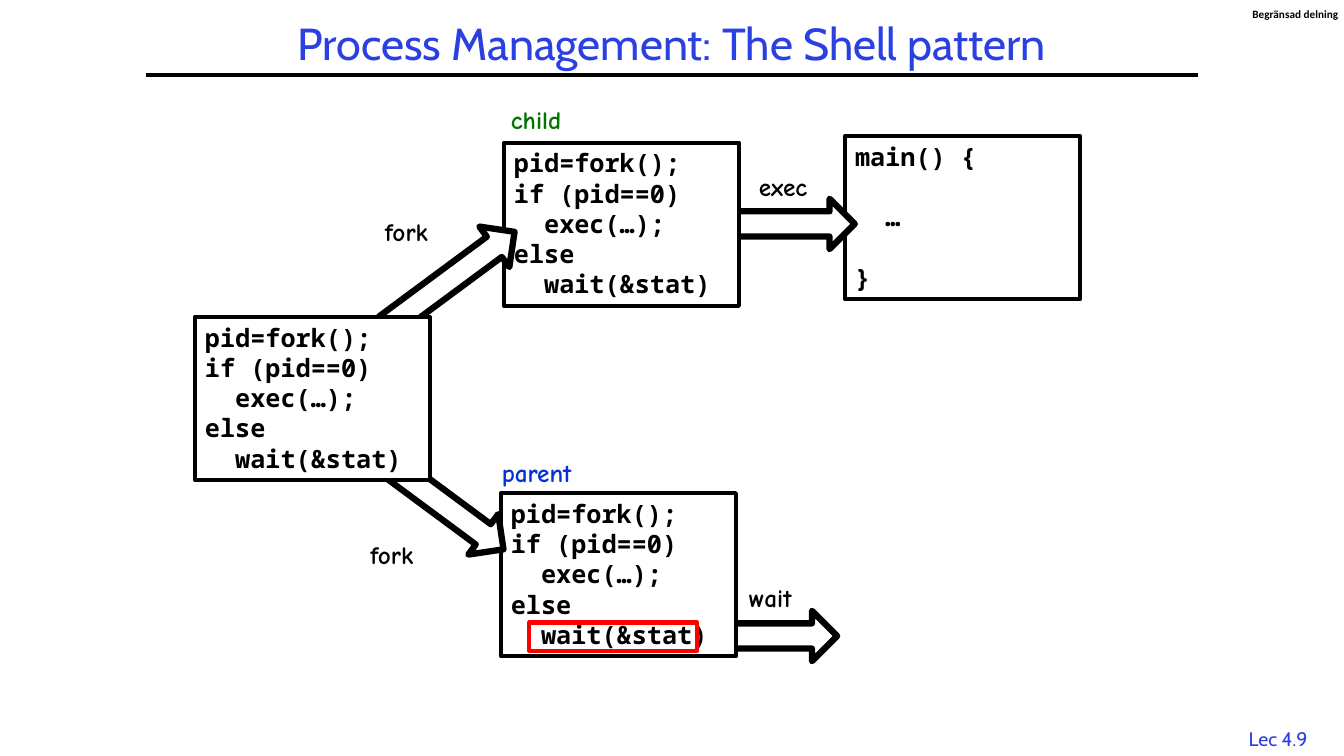
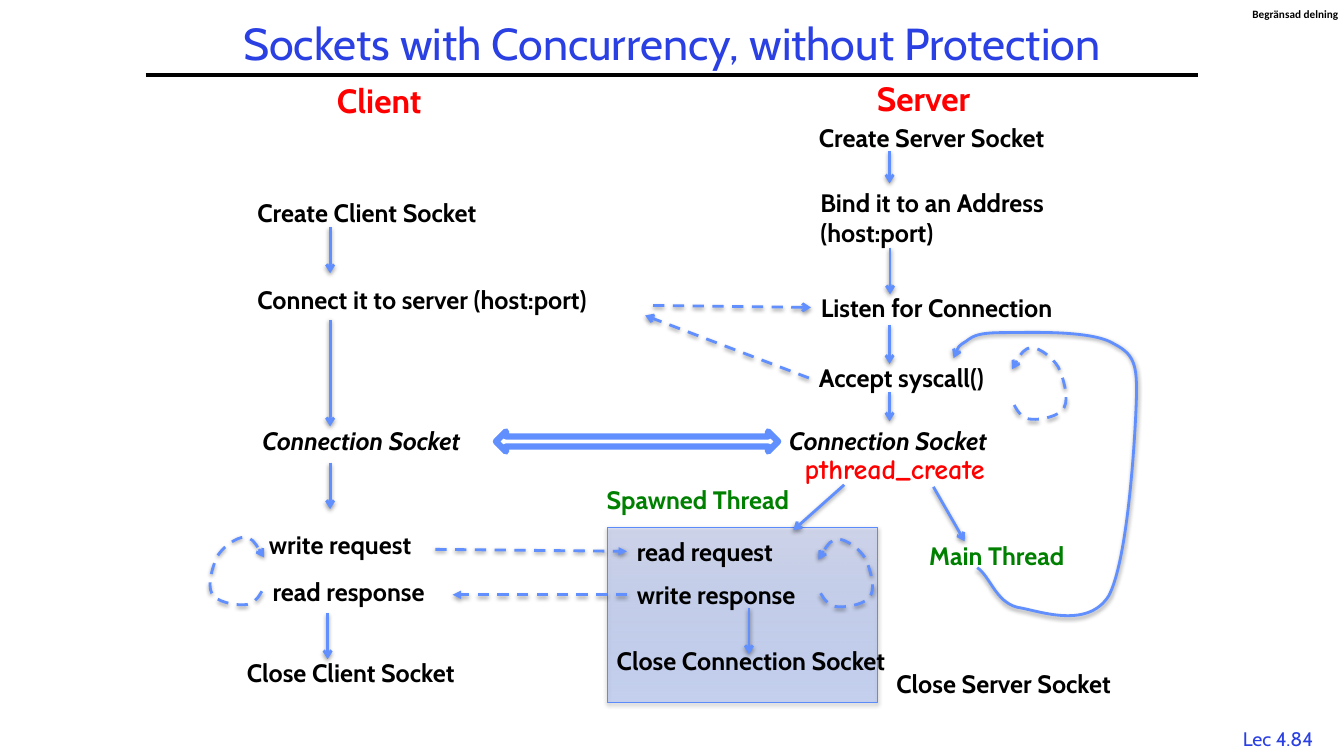
from dataclasses import dataclass

from pptx import Presentation
from pptx.dml.color import RGBColor
from pptx.enum.dml import MSO_LINE_DASH_STYLE as Dash
from pptx.enum.shapes import MSO_CONNECTOR as Link, MSO_SHAPE as Preset
from pptx.enum.text import MSO_ANCHOR as Anchor, MSO_AUTO_SIZE as Fit, PP_ALIGN as Align
from pptx.oxml.ns import qn
from pptx.util import Inches, Pt
from lxml.etree import SubElement

CELL = Inches(0.1)
BLACK, WHITE, RED, GREEN = "000000", "FFFFFF", "FF0000", "008000"
TITLE_BLUE, FLOW_BLUE = "2A40E2", "618FFD"
CHILD_GREEN, PARENT_BLUE = "007600", "0330D8"
HAND, SANS, MONO = "Comic Neue", "Cabin", "Noto Sans Mono"
LEFT_SIDE = 1
CODE_LINE = 21.6
FORK_CODE = ["pid=fork();", "if (pid==0)", "  exec(…);", "else", "  wait(&stat)"]
LOOP = [(.04, .8),
        (.11, .9), (.2, 1), (.37, 1),
        (.52, 1.01), (.89, .96), (.96, .83),
        (1.05, .7), (.94, .41), (.85, .27),
        (.74, .13), (.5, 0), (.37, 0),
        (.22, 0), (.11, .15), (0, .3)]
RETURN = [(.13, .83),
          (.2, .86), (.23, .95), (.35, .97),
          (.46, .98), (.73, 1.05), (.85, .93),
          (.95, .81), (.99, .42), (1, .27),
          (1.01, .12), (1, .08), (.88, .04),
          (.76, -.01), (.41, 0), (.28, 0),
          (.14, 0), (.11, .01), (.07, .03),
          (.02, .05), (.01, .07), (0, .09)]


@dataclass
class Box:
    left: float
    top: float
    width: float
    height: float

    def inside(self, column, row, width, height=4):
        return Box(self.left + column, self.top + row, width, height)

    def point(self, column, row):
        return int((self.left + column) * CELL), int((self.top + row) * CELL)

    def emu(self):
        return *self.point(0, 0), int(self.width * CELL), int(self.height * CELL)


PAGE = Box(0, 0, 133.33, 75)


def rgb(value):
    return RGBColor.from_string(value)


def apply(target, formats):
    for key, value in formats.items():
        setattr(target, key, value)


def write(frame, lines, size=18, font=SANS, color=BLACK, wrap=False, paragraph={}, gaps={}, **formats):
    apply(frame, {"word_wrap": wrap, "auto_size": Fit.SHAPE_TO_FIT_TEXT})
    for index, line in enumerate(lines):
        part = frame.paragraphs[0] if index == 0 else frame.add_paragraph()
        apply(part, {"alignment": Align.LEFT, **paragraph})
        if index in gaps:
            part.space_before = Pt(gaps[index])
        run = part.add_run()
        run.text = line
        apply(run.font, {"size": Pt(size), "name": font, "bold": True, **formats})
        run.font.color.rgb = rgb(color)


def label(slide, box, words, **formats):
    holder = slide.shapes.add_textbox(*box.emu())
    write(holder.text_frame, words.split("\n"), **formats)
    return holder


def block(slide, box, preset=Preset.RECTANGLE, fill=WHITE, color=BLACK, weight=3, turn=0):
    shape = slide.shapes.add_shape(preset, *box.emu())
    shape.shadow.inherit = False
    shape.rotation = turn
    if fill:
        shape.fill.solid()
        shape.fill.fore_color.rgb = rgb(fill)
    else:
        shape.fill.background()
    shape.line.color.rgb = rgb(color)
    shape.line.width = Pt(weight)
    return shape


def cast_shadow(shape, opacity=38, distance=1.6):
    properties = shape._element.spPr
    effects = properties.find(qn("a:effectLst"))
    if effects is None:
        effects = SubElement(properties, qn("a:effectLst"))
    outer = SubElement(effects, qn("a:outerShdw"), blurRad=str(Pt(3.1)), dist=str(Pt(distance)),
                       dir="5400000", algn="t", rotWithShape="0")
    tone = SubElement(outer, qn("a:srgbClr"), val=BLACK)
    SubElement(tone, qn("a:alpha"), val=str(opacity * 1000))


def style_flow(shape, dashed=False, tip="arrow"):
    shape.line.color.rgb = rgb(FLOW_BLUE)
    shape.line.width = Pt(2)
    if dashed:
        shape.line.dash_style = Dash.DASH
    SubElement(shape.line._get_or_add_ln(), qn("a:tailEnd"), type=tip)
    cast_shadow(shape)


def flow(slide, box, start, end, leaves=None, enters=None, **style):
    arrow = slide.shapes.add_connector(Link.STRAIGHT, *box.point(*start), *box.point(*end))
    if leaves is not None:
        arrow.begin_connect(leaves, LEFT_SIDE)
    if enters is not None:
        arrow.end_connect(enters, LEFT_SIDE)
    style_flow(arrow, **style)


def curve(slide, box, anchors, mirrored=False, dashed=False):
    spots = [box.point((1 - x if mirrored else x) * box.width, y * box.height) for x, y in anchors]
    builder = slide.shapes.build_freeform(*spots[0], scale=1.0)
    builder.add_line_segments(spots[1:], close=False)
    outline = builder.convert_to_shape()
    segments = list(outline._element.spPr.iter(qn("a:lnTo")))
    for first in range(0, len(segments), 3):
        bend = SubElement(segments[first].getparent(), qn("a:cubicBezTo"))
        for segment in segments[first:first + 3]:
            bend.append(segment[0])
            segment.getparent().remove(segment)
    outline.shadow.inherit = False
    outline.fill.background()
    style_flow(outline, dashed)


def page_frame(slide, box, title, number):
    label(slide, box.inside(121.95, 71.6, 9.7, 3.3), number, size=14, color=TITLE_BLUE,
          bold=False, paragraph={"alignment": Align.CENTER})
    rule = slide.shapes.add_connector(Link.STRAIGHT, *box.point(14.45, 7.47), *box.point(118.85, 7.47))
    rule.line.color.rgb = rgb(BLACK)
    rule.line.width = Pt(3)
    SubElement(rule._element.spPr, qn("a:effectLst"))
    notice = label(slide, box.inside(124.25, 0.7, 8.6, 1.3), "Begränsad delning",
                   size=8, font="Calibri", wrap=True)
    apply(notice.text_frame, dict.fromkeys(
        ("margin_left", "margin_top", "margin_right", "margin_bottom"), 0))
    heading = label(slide, box.inside(14.45, 1.7, 104.45, 5.8), title, size=32, color=TITLE_BLUE,
                    bold=False, wrap=True, paragraph={"alignment": Align.CENTER, "line_spacing": 0.9})
    apply(heading.text_frame, {"auto_size": Fit.NONE, "vertical_anchor": Anchor.MIDDLE})


def code_block(slide, box, lines, fill=WHITE, gaps={}):
    shape = block(slide, box, fill=fill)
    shape.text_frame.vertical_anchor = Anchor.TOP
    write(shape.text_frame, lines, font=MONO, wrap=True, gaps=gaps)


def shell_pattern(slide, box):
    def process(column, row):
        return box.inside(column, row, 23.3, 16.2)

    def big_arrow(column, row, width, turn=0):
        block(slide, box.inside(column, row, width, 5), Preset.RIGHT_ARROW, weight=4.5, turn=turn)

    big_arrow(71.35, 60.6, 11.7)
    code_block(slide, process(83.85, 13.5), ["main() {", "  …", "}"], None,
               gaps={1: CODE_LINE, 2: CODE_LINE})
    big_arrow(73.1, 19.72, 11.7)
    code_block(slide, process(49.7, 48.92), FORK_CODE)
    block(slide, box.inside(52.5, 61.75, 16.65, 2.8), fill=None, color=RED)
    code_block(slide, process(50, 14.15), FORK_CODE)
    big_arrow(36.8, 25.2, 15.8, -36.5)
    big_arrow(35.7, 47.3, 15.8, 36.5)
    code_block(slide, process(19.35, 31.45), FORK_CODE)
    for words, column, row, width, color in [
        ("child", 49.7, 9.85, 7.9, CHILD_GREEN),
        ("parent", 48.8, 44.9, 9.9, PARENT_BLUE),
        ("fork", 37.2, 21, 7.2, BLACK),
        ("fork", 35.75, 53, 7.2, BLACK),
        ("wait", 73.3, 57.3, 7.1, BLACK),
        ("exec", 74.3, 16.55, 7.6, BLACK),
    ]:
        label(slide, box.inside(column, row, width), words, font=HAND, color=color)


def steps_column(slide, box, steps, arrows):
    for start, end in arrows:
        flow(slide, box, start, end)
    return {words: label(slide, box.inside(*place), words, **formats)
            for words, place, formats in steps}


def client_column(slide, box):
    steps_column(slide, box, [
        ("Client", (12.45, 0.4, 11.4, 5), {"size": 24, "color": RED}),
        ("Create Client Socket", (4.55, 12.1, 26.6), {}),
        ("Connect it to server (host:port)", (4.55, 20.7, 39.2), {}),
        ("Connection Socket", (5.05, 34.7, 24.9), {"italic": True}),
        ("write request", (5.7, 45, 17.7), {}),
        ("read response", (6.05, 49.7, 19.1), {}),
        ("Close Client Socket", (3.5, 57.7, 25.7), {}),
    ], [((12.75, 15.5), (12.75, 20.1)), ((12.75, 24.7), (12.75, 35.3)),
        ((12.75, 38.9), (12.75, 43.5)), ((12.5, 53.8), (12.5, 58.4))])
    curve(slide, box.inside(0.8, 46.3, 5.4, 6.7), LOOP, mirrored=True, dashed=True)


def server_column(slide, box):
    steps = steps_column(slide, box, [
        ("Server", (9, 0.2, 13, 5), {"size": 24, "color": RED}),
        ("Create Server Socket", (3.25, 4.65, 27.4), {}),
        ("Bind it to an Address\n(host:port)", (3.4, 11.1, 28, 7.1), {}),
        ("Listen for Connection", (3.45, 21.5, 28), {}),
        ("Accept syscall()", (3.25, 28.5, 21.3), {}),
        ("Connection Socket", (0.3, 34.7, 24.9), {"italic": True}),
        ("pthread_create", (1.85, 37.3, 24.1, 4.4),
         {"size": 20, "font": HAND, "color": RED, "wrap": True}),
        ("Main Thread", (14.2, 46.1, 16.9), {"color": GREEN}),
        ("Close Server Socket", (10.95, 58.8, 27), {}),
    ], [((11.25, 8), (11.25, 11.2)), ((11.3, 17.6), (11.3, 22.2)),
        ((11.25, 25.2), (11.25, 29.1)), ((11.25, 31.9), (11.25, 34.8)),
        ((15.6, 41.3), (18.7, 46.7)), ((6.75, 41.1), (1.7, 45.6))])
    curve(slide, box.inside(23.4, 27.5, 5.4, 7.1), LOOP, dashed=True)
    curve(slide, box.inside(17.6, 26, 18.1, 28.1), RETURN)
    return steps


def spawned_thread(slide, box):
    panel = block(slide, box, color="5B8AFB", weight=0.75)
    panel.fill.gradient()
    panel.fill.gradient_angle = 90
    for stop, color in zip(panel.fill.gradient_stops, ("5F8EFF", "C4D0FF")):
        stop.color.rgb = rgb(color)
    tones = panel._element.spPr.find(qn("a:gradFill")).iter(qn("a:srgbClr"))
    for tone, opacity in zip(list(tones), (26, 46)):
        SubElement(tone, qn("a:alpha"), val=str(opacity * 1000))
    cast_shadow(panel, opacity=35, distance=1.8)
    steps = steps_column(slide, box, [
        ("Spawned Thread", (-1.05, -4.7, 22.2), {"color": GREEN}),
        ("read request", (1.95, 0.4, 17.7), {}),
        ("write response", (1.95, 4.7, 19.9), {}),
        ("Close Connection Socket", (-0.05, 11.2, 29.4, 7.1), {"wrap": True}),
    ], [((14.05, 8), (14.05, 12.6))])
    curve(slide, box.inside(20.95, 1.2, 5.4, 6.7), LOOP, dashed=True)
    return steps


def socket_exchange(slide, box):
    thread = spawned_thread(slide, box.inside(60.25, 52.3, 26.8, 17.4))
    client_column(slide, box.inside(20, 7, 40, 63))
    server = server_column(slide, box.inside(77, 7, 38, 63))
    flow(slide, box, (64.8, 30.3), (80.5, 30.5), enters=server["Listen for Connection"], dashed=True)
    flow(slide, box, (80.3, 37.5), (64, 31.3), leaves=server["Accept syscall()"], dashed=True)
    flow(slide, box, (43.2, 54.5), (62.2, 54.7), enters=thread["read request"],
         dashed=True, tip="triangle")
    flow(slide, box, (62.2, 59), (44.9, 59), leaves=thread["write response"],
         dashed=True, tip="triangle")
    block(slide, box.inside(49.2, 42.8, 28, 2), Preset.LEFT_RIGHT_ARROW, color=FLOW_BLUE, weight=4.5)


def main():
    deck = Presentation()
    deck.slide_width, deck.slide_height = PAGE.emu()[2:]
    for title, number, content in [
        ("Process Management: The Shell pattern", "Lec 4.9", shell_pattern),
        ("Sockets with Concurrency, without Protection", "Lec 4.84", socket_exchange),
    ]:
        slide = deck.slides.add_slide(deck.slide_layouts[6])
        page_frame(slide, PAGE, title, number)
        content(slide, PAGE)
    deck.save("out.pptx")


if __name__ == "__main__":
    main()
